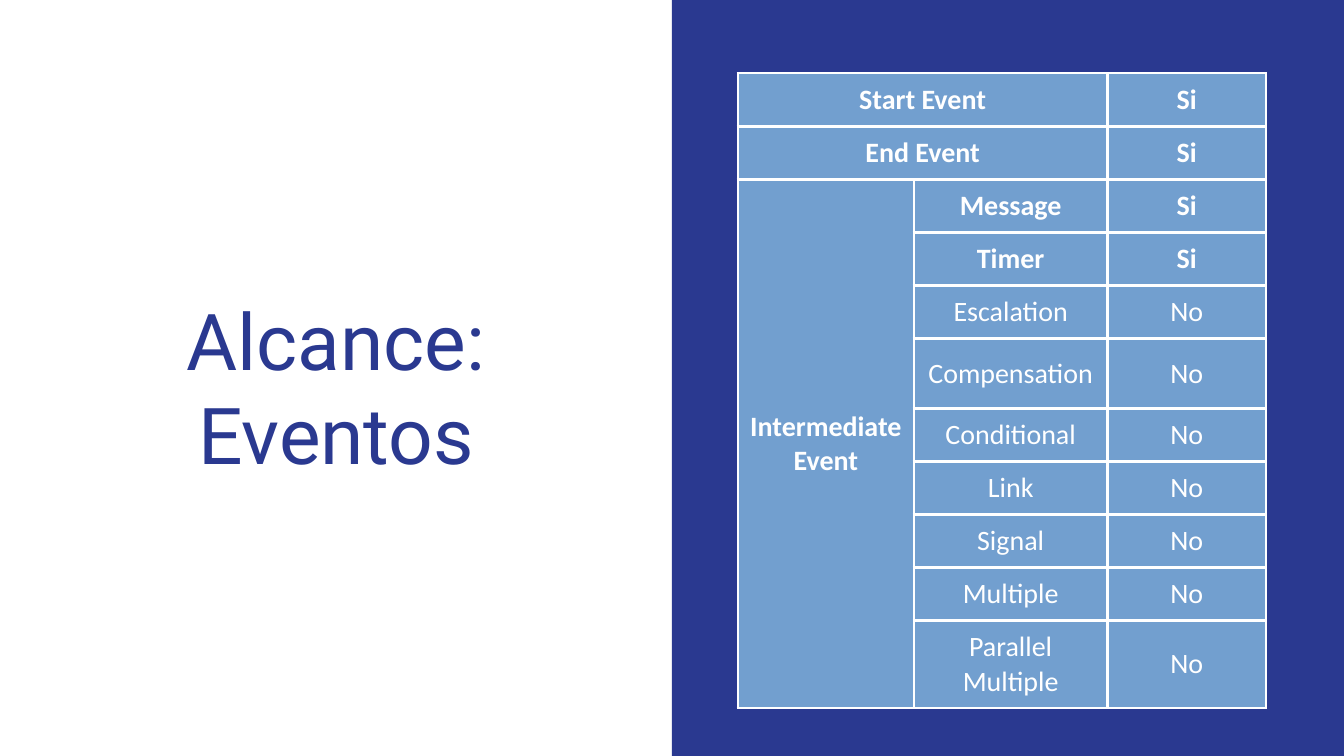
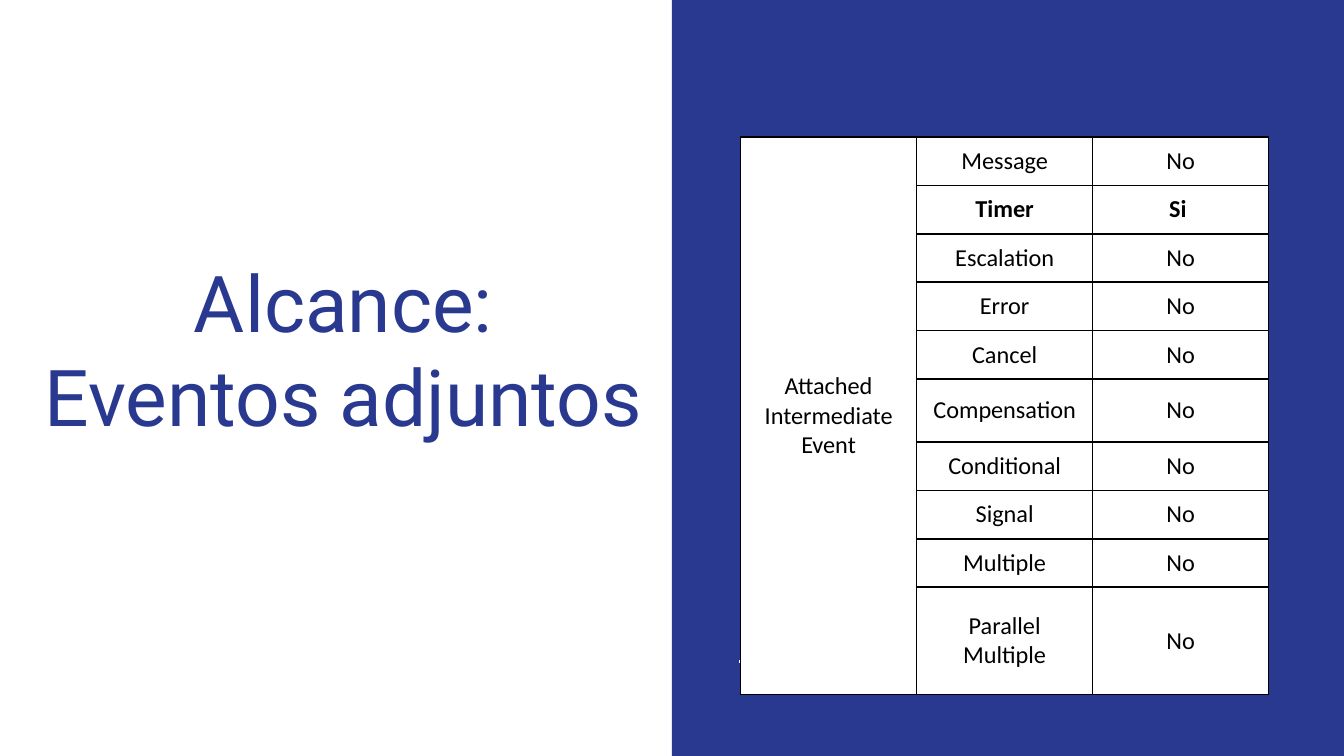
from dataclasses import dataclass

from lxml.etree import SubElement
from pptx import Presentation
from pptx.dml.color import RGBColor
from pptx.enum.shapes import MSO_CONNECTOR, MSO_SHAPE
from pptx.enum.text import MSO_ANCHOR, PP_ALIGN
from pptx.oxml.ns import qn
from pptx.slide import Slide
from pptx.table import _Cell
from pptx.text.text import Font
from pptx.util import Emu, Pt

EMU_PER_PX = 4572  # 200 px to the inch
SLIDE_WIDTH, SLIDE_HEIGHT = 2000, 1125
NAVY, WHITE, BLACK, SKY = "2A3990", "FFFFFF", "000000", "729FCF"
TITLE_FONT, TABLE_FONT = "Roboto", "Calibri"
TITLE_SIZE = 42
TITLE_HEIGHT, TITLE_INSET = 342, 20
CELL_INSET_X, CELL_INSET_Y = 14, 10


@dataclass(frozen=True)
class EventRow:
    event: str
    in_scope: str
    height: int
    bold: bool = False


@dataclass(frozen=True)
class TableStyle:
    size: int
    text: str
    fill: str
    border: str
    border_width: float


@dataclass(frozen=True)
class Title:
    text: str
    left: int
    top: int
    width: int


@dataclass(frozen=True)
class ScopeTable:
    """Rows above group_start span two columns; the rest share the group cell."""
    left: int
    top: int
    columns: tuple[int, ...]
    group: str
    group_start: int
    group_bold: bool
    style: TableStyle
    rows: tuple[EventRow, ...]


def px(length: int) -> Emu:
    return Emu(length * EMU_PER_PX)


def color(code: str) -> RGBColor:
    return RGBColor.from_string(code)


def set_font(font: Font, name: str, size: int, code: str, bold: bool = False) -> None:
    font.name, font.size, font.bold = name, Pt(size), bold
    font.color.rgb = color(code)


def add_panel(slide: Slide) -> None:
    """Draw the navy right half with its short white rule."""
    half = SLIDE_WIDTH // 2
    panel = slide.shapes.add_shape(
        MSO_SHAPE.RECTANGLE, px(half), px(0), px(half), px(SLIDE_HEIGHT))
    panel.shadow.inherit = False
    panel.fill.solid()
    panel.fill.fore_color.rgb = color(NAVY)
    panel.line.fill.background()

    rule = slide.shapes.add_connector(
        MSO_CONNECTOR.STRAIGHT, px(1100), px(984), px(1202), px(984))
    rule.line.color.rgb = color(WHITE)
    rule.line.width = Pt(1.5)
    SubElement(rule._element.spPr, qn("a:effectLst"))


def add_title(slide: Slide, title: Title) -> None:
    box = slide.shapes.add_textbox(
        px(title.left), px(title.top), px(title.width), px(TITLE_HEIGHT))
    frame = box.text_frame
    frame.word_wrap = True
    frame.vertical_anchor = MSO_ANCHOR.BOTTOM
    frame.margin_left = frame.margin_right = px(TITLE_INSET)
    frame.margin_top = frame.margin_bottom = px(TITLE_INSET)
    heading = frame.paragraphs[0]
    heading.text = title.text
    heading.alignment = PP_ALIGN.CENTER
    set_font(heading.font, TITLE_FONT, TITLE_SIZE, NAVY)


def style_cell(cell: _Cell, style: TableStyle) -> None:
    """Set insets, anchor, four borders and fill."""
    cell.margin_left = cell.margin_right = px(CELL_INSET_X)
    cell.margin_top = cell.margin_bottom = px(CELL_INSET_Y)
    cell.vertical_anchor = MSO_ANCHOR.MIDDLE
    properties = cell._tc.get_or_add_tcPr()
    for side in ("lnL", "lnR", "lnT", "lnB"):
        border = SubElement(
            properties, qn(f"a:{side}"), w=str(Pt(style.border_width)))
        paint = SubElement(border, qn("a:solidFill"))
        SubElement(paint, qn("a:srgbClr"), val=style.border)
    cell.fill.solid()
    cell.fill.fore_color.rgb = color(style.fill)


def write_cell(cell: _Cell, text: str, style: TableStyle, bold: bool) -> None:
    label = cell.text_frame.paragraphs[0]
    label.text = text
    label.alignment = PP_ALIGN.CENTER
    set_font(label.font, TABLE_FONT, style.size, style.text, bold)


def add_scope_table(slide: Slide, scope: ScopeTable) -> None:
    rows, style = scope.rows, scope.style
    table = slide.shapes.add_table(
        len(rows), len(scope.columns), px(scope.left), px(scope.top),
        px(sum(scope.columns)), px(sum(row.height for row in rows))).table
    table.first_row = table.horz_banding = False
    for column, width in zip(table.columns, scope.columns):
        column.width = px(width)
    for cell in table.iter_cells():
        style_cell(cell, style)

    for index, row in enumerate(rows):
        table.rows[index].height = px(row.height)
        spans_two = index < scope.group_start
        event_cell = table.cell(index, 0 if spans_two else 1)
        if spans_two:
            event_cell.merge(table.cell(index, 1))
        write_cell(event_cell, row.event, style, row.bold)
        write_cell(table.cell(index, 2), row.in_scope, style, row.bold)

    group_cell = table.cell(scope.group_start, 0)
    group_cell.merge(table.cell(len(rows) - 1, 0))
    write_cell(group_cell, scope.group, style, scope.group_bold)


EVENTS = ScopeTable(
    left=1098, top=109, columns=(262, 288, 236),
    group="Intermediate Event", group_start=2, group_bold=True,
    style=TableStyle(15, WHITE, SKY, WHITE, 1.47),
    rows=(
        EventRow("Start Event", "Si", 79, True),
        EventRow("End Event", "Si", 79, True),
        EventRow("Message", "Si", 79, True),
        EventRow("Timer", "Si", 79, True),
        EventRow("Escalation", "No", 79),
        EventRow("Compensation", "No", 104),
        EventRow("Conditional", "No", 79),
        EventRow("Link", "No", 79),
        EventRow("Signal", "No", 79),
        EventRow("Multiple", "No", 79),
        EventRow("Parallel Multiple", "No", 130),
    ),
)

ATTACHED_EVENTS = ScopeTable(
    left=1102, top=204, columns=(262, 262, 262),
    group="Attached Intermediate Event", group_start=0, group_bold=False,
    style=TableStyle(13, BLACK, WHITE, BLACK, 0.96),
    rows=(
        EventRow("Message", "No", 72),
        EventRow("Timer", "Si ", 72, True),
        EventRow("Escalation", "No", 72),
        EventRow("Error", "No", 72),
        EventRow("Cancel", "No", 72),
        EventRow("Compensation", "No", 94),
        EventRow("Conditional", "No", 72),
        EventRow("Signal", "No", 72),
        EventRow("Multiple", "No", 72),
        EventRow("Parallel Multiple", "No", 160),
    ),
)

SLIDES = (
    (Title("Alcance: Eventos", 58, 392, 884), EVENTS),
    (Title("Alcance:\nEventos adjuntos", 42, 336, 938), ATTACHED_EVENTS),
)


def main() -> None:
    deck = Presentation()
    deck.slide_width, deck.slide_height = px(SLIDE_WIDTH), px(SLIDE_HEIGHT)
    blank = deck.slide_layouts[6]
    for title, scope in SLIDES:
        slide = deck.slides.add_slide(blank)
        add_panel(slide)
        add_title(slide, title)
        add_scope_table(slide, scope)
    deck.save("out.pptx")


if __name__ == "__main__":
    main()
